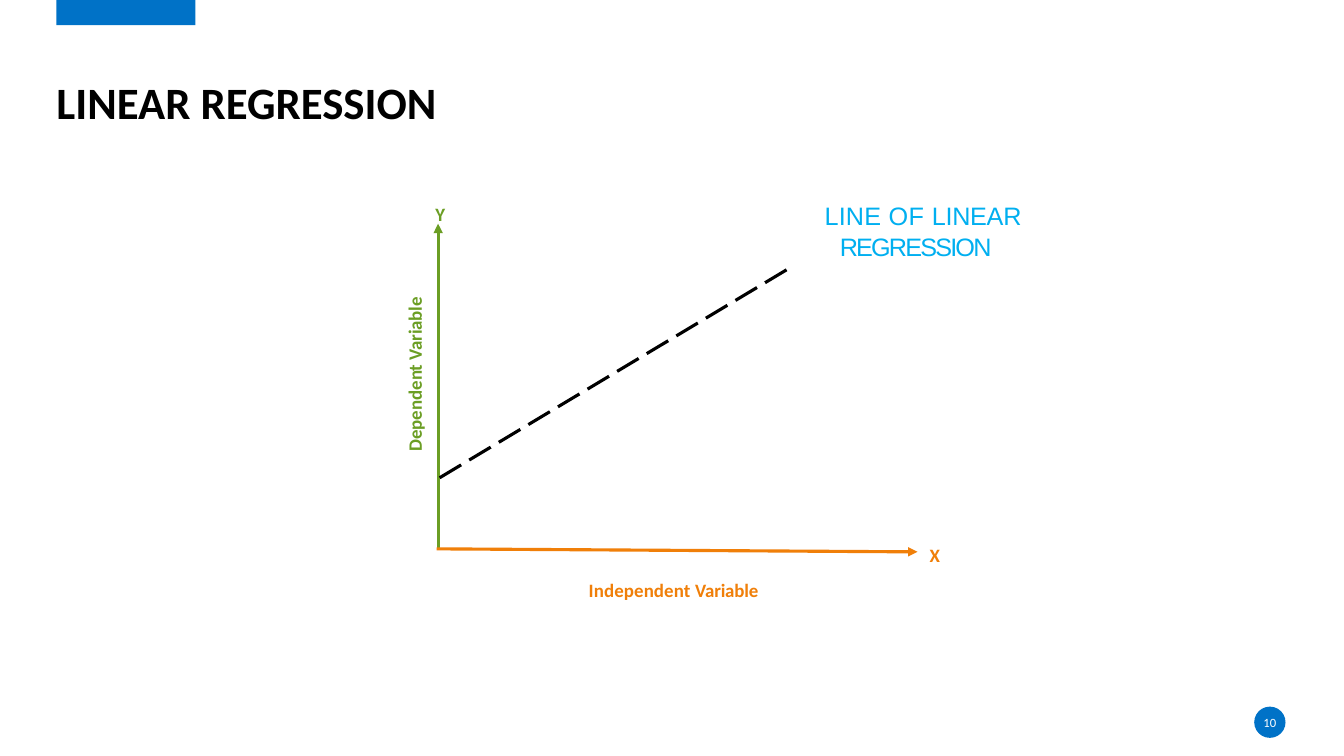
from lxml import etree
from pptx import Presentation
from pptx import util as u
from pptx.dml.color import RGBColor
from pptx.enum import dml, shapes, text
from pptx.oxml import ns

WIDTH, HEIGHT = u.Inches(13.33), u.Inches(7.5)
COLORS = {"blue": "0072C7", "green": "6B9E24", "orange": "F07F09",
          "sky": "00AFF0", "black": "000000", "white": "FFFFFF"}


def color(name):
    """Return the named colour."""
    return RGBColor.from_string(COLORS[name])


def across(share):
    """Turn a percentage of the slide width into a length."""
    return round(WIDTH * share / 100)


def down(share):
    """Turn a percentage of the slide height into a length."""
    return round(HEIGHT * share / 100)


def area(left, top, width, height):
    """Turn percentages into a left, top, width and height."""
    return across(left), down(top), across(width), down(height)


def format_text(shape, runs, size, fill, font="Calibri", bold=False,
                anchor=text.MSO_ANCHOR.TOP):
    """Fill a shape with one paragraph of (wording, letter spacing) runs."""
    frame = shape.text_frame
    frame.word_wrap = True
    frame.auto_size = text.MSO_AUTO_SIZE.NONE
    frame.vertical_anchor = anchor
    frame.margin_left = frame.margin_top = frame.margin_right = frame.margin_bottom = 0
    paragraph = frame.paragraphs[0]
    for wording, spacing in runs:
        run = paragraph.add_run()
        run.text = wording
        if spacing:
            run._r.get_or_add_rPr().set("spc", str(round(spacing * 100)))
    paragraph.font.name, paragraph.font.size = font, u.Pt(size)
    paragraph.font.bold = bold
    paragraph.font.color.rgb = color(fill)
    return paragraph


def add_label(slide, box, runs, size, fill, **style):
    """Add a text box and return its shape and paragraph."""
    shape = slide.shapes.add_textbox(*area(*box))
    return shape, format_text(shape, runs, size, fill, **style)


def add_block(slide, kind, box):
    """Add a plain blue shape."""
    shape = slide.shapes.add_shape(kind, *area(*box))
    shape.shadow.inherit = False
    shape.fill.solid()
    shape.fill.fore_color.rgb = color("blue")
    shape.line.fill.background()
    return shape


def add_line(slide, start, end, fill, arrow=False, dash=None):
    """Add a straight line between two points, with an arrowhead if asked."""
    line = slide.shapes.add_connector(
        shapes.MSO_CONNECTOR.STRAIGHT, across(start[0]), down(start[1]),
        across(end[0]), down(end[1]))
    line.line.color.rgb = color(fill)
    line.line.width = u.Pt(2.25)
    if dash:
        line.line.dash_style = dash
    if arrow:
        etree.SubElement(line.line._get_or_add_ln(), ns.qn("a:tailEnd"), type="triangle")
    etree.SubElement(line._element.spPr, ns.qn("a:effectLst"))


def add_frame(slide):
    """Add the title, the top tab and the page number."""
    add_block(slide, shapes.MSO_SHAPE.RECTANGLE, (4.2, 0, 10.35, 3.33))
    badge = add_block(slide, shapes.MSO_SHAPE.OVAL, (93.32, 93.47, 2.33, 4.13))
    number = format_text(badge, [("10", 0)], 9, "white", anchor=text.MSO_ANCHOR.MIDDLE)
    number.alignment = text.PP_ALIGN.CENTER
    title = slide.shapes.title
    title.left, title.top, title.width, title.height = area(4.2, 3.6, 91.45, 13.47)
    heading = format_text(title, [("LINEAR REGRESSION", 0)], 32, "black", bold=True,
                          anchor=text.MSO_ANCHOR.BOTTOM)
    heading.alignment = text.PP_ALIGN.LEFT
    heading.line_spacing = 0.9


def add_diagram(slide):
    """Add the axes, the regression line and their labels."""
    add_line(slide, (32.6, 72.67), (32.6, 29.6), "green", arrow=True)
    add_line(slide, (32.48, 72.6), (68.27, 73), "orange", arrow=True)
    add_line(slide, (32.71, 63.2), (59.11, 35.07), "black",
             dash=dml.MSO_LINE.LONG_DASH)

    axis_labels = [
        ((43.8, 76.6, 13.5, 3.33), [("Independent ", 0.1), ("Variable", -0.1)], "orange"),
        ((69.17, 71.9, 1.2, 3.33), [("X", 0)], "orange"),
        ((32.4, 26.8, 1.2, 3.33), [("Y", 0)], "green"),
    ]
    for box, runs, fill in axis_labels:
        add_label(slide, box, runs, 13.5, fill, bold=True)

    vertical, paragraph = add_label(
        slide, (30.23, 38.8, 1.65, 20.93),
        [("Dependent ", 0), ("Variable", -0.1)], 13.5, "green", bold=True)
    vertical.text_frame._txBody.bodyPr.set("vert", "vert270")
    paragraph.line_spacing = u.Pt(13.8)

    caption = add_label(
        slide, (61.29, 26.4, 20.03, 8.13),
        [("LINE ", 0.1), ("OF ", 0.3), ("LINEAR ", -0.2), ("REGRESSION", -1.3)],
        18, "sky", font="Arial", anchor=text.MSO_ANCHOR.BOTTOM)[1]
    caption.line_spacing = 1.02
    properties = caption._p.get_or_add_pPr()
    properties.set("marL", str(u.Inches(0.16)))
    properties.set("indent", str(u.Inches(-0.15)))


def main():
    """Build and save the slide."""
    presentation = Presentation()
    presentation.slide_width, presentation.slide_height = WIDTH, HEIGHT
    slide = presentation.slides.add_slide(presentation.slide_layouts[5])
    add_frame(slide)
    add_diagram(slide)
    presentation.save("out.pptx")


if __name__ == "__main__":
    main()
